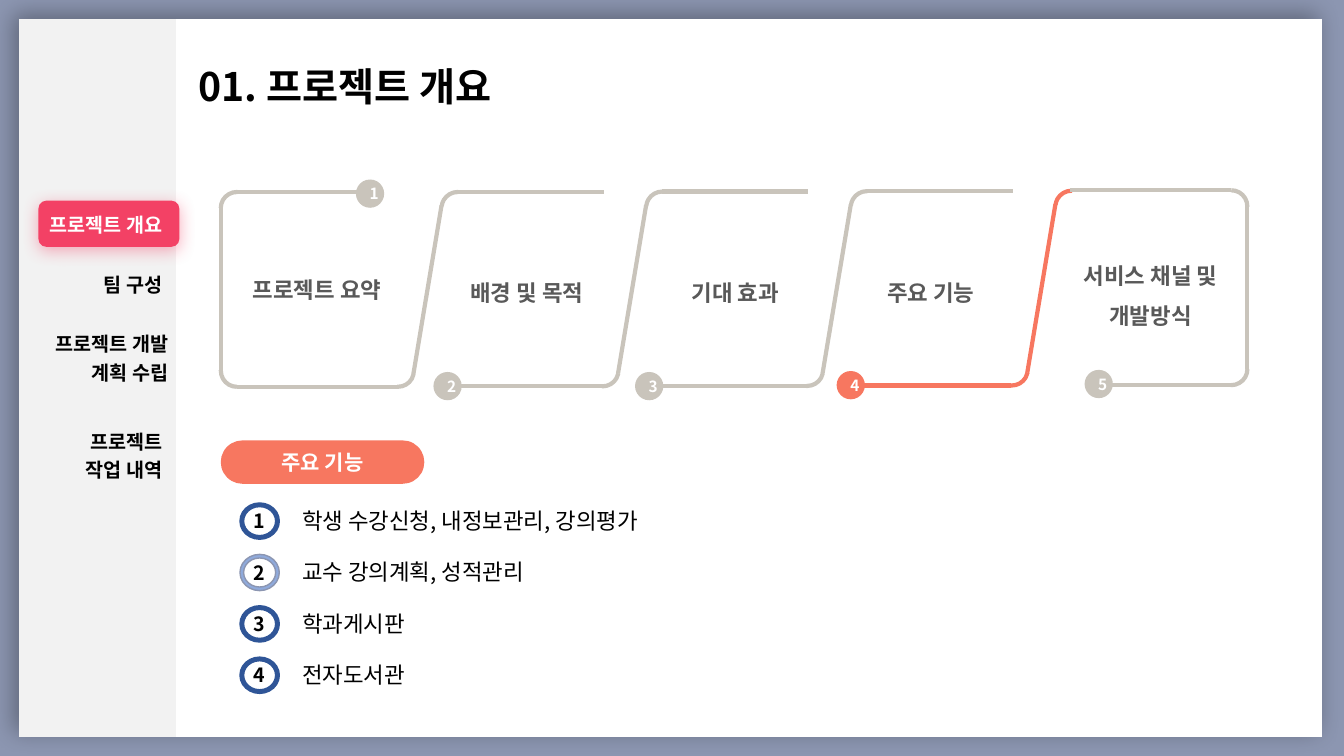
from lxml.etree import SubElement
from pptx import Presentation
from pptx.dml.color import RGBColor
from pptx.enum.shapes import MSO_CONNECTOR, MSO_SHAPE
from pptx.enum.text import MSO_ANCHOR, PP_ALIGN
from pptx.oxml.ns import qn
from pptx.util import Pt

FONT = "Noto Sans CJK KR"
GRAY, ORANGE, BLACK, WHITE = "C9C4BB", "F77760", "000000", "FFFFFF"
NAVY, PINK, LABEL_COLOR = "2F5597", "F34165", "595959"
NO_STYLE = "{2D5ABB26-0587-4C30-8999-92F81FD0307C}"

TITLE = "01. 프로젝트 개요"
MENU = [
    (1, "프로젝트 개요", WHITE, PP_ALIGN.CENTER, 7.2),
    (2, "팀 구성", BLACK, PP_ALIGN.RIGHT, 11.5),
    (3, "프로젝트 개발\n계획 수립", BLACK, PP_ALIGN.RIGHT, 7.2),
    (4, "프로젝트\n작업 내역", BLACK, PP_ALIGN.RIGHT, 11.5),
]
MENU_ROWS = [42.5, 42.5, 42.5, 69.8, 47.5] + [44.4] * 4
STEPS = [
    ("프로젝트 요약", 162, 184.3, 254.2, 128.2, GRAY),
    ("배경 및 목적", 311.8, 186.5, 309.6, 265.7, GRAY),
    ("기대 효과", 460.8, 186.5, 453.6, 265.7, GRAY),
    ("주요 기능", 600.5, 186.5, 597.6, 265, ORANGE),
    ("서비스 채널 및 개발방식", 757.4, 174.2, 774.7, 264.2, GRAY),
]
SECTION = "주요 기능"
FEATURES = [
    ("학생 수강신청, 내정보관리, 강의평가", NAVY, NAVY),
    ("교수 강의계획, 성적관리", "8FAADC", "8C96B1"),
    ("학과게시판", NAVY, NAVY),
    ("전자도서관", NAVY, NAVY),
]
CORNER = 23
FLOW_STEP = 146.16


def color(value):
    return RGBColor.from_string(value)


def write(frame, text, size, ink, bold=True, align=PP_ALIGN.LEFT, spacing=None):
    frame.word_wrap = True
    paragraph = frame.paragraphs[0]
    paragraph.alignment = align
    if spacing:
        paragraph.line_spacing = spacing
    for index, line in enumerate(text.split("\n")):
        if index:
            paragraph.add_line_break()
        run = paragraph.add_run()
        run.text = line
        run.font.size = Pt(size)
        run.font.bold = bold
        run.font.name = FONT
        run.font.color.rgb = color(ink)
        SubElement(run.font._element, qn("a:ea"), typeface=FONT)


def add_text(box, *args, **kwargs):
    textbox = slide.shapes.add_textbox(*map(Pt, box))
    write(textbox.text_frame, *args, **kwargs)


def add_shape(kind, box, fill=None, line=None, width=1, adjustments=()):
    shape = slide.shapes.add_shape(kind, *map(Pt, box))
    shape.shadow.inherit = False
    for index, value in enumerate(adjustments):
        shape.adjustments[index] = value
    if fill:
        shape.fill.solid()
        shape.fill.fore_color.rgb = color(fill)
    else:
        shape.fill.background()
    if line:
        shape.line.color.rgb = color(line)
        shape.line.width = Pt(width)
    else:
        shape.line.fill.background()
    return shape


def add_shadow(shape, ink, alpha, blur, distance, angle):
    effects = shape._element.spPr.find(qn("a:effectLst"))
    shadow = SubElement(effects, qn("a:outerShdw"), blurRad=str(Pt(blur)),
                        dist=str(Pt(distance)), dir=str(angle * 60000), rotWithShape="0")
    shade = SubElement(shadow, qn("a:srgbClr"), val=ink)
    SubElement(shade, qn("a:alpha"), val=str(alpha * 1000))


def add_line(x1, y1, x2, y2, ink=GRAY):
    line = slide.shapes.add_connector(MSO_CONNECTOR.STRAIGHT, *map(Pt, (x1, y1, x2, y2)))
    line.line.color.rgb = color(ink)
    line.line.width = Pt(3)
    SubElement(line._element.spPr, qn("a:effectLst"))


def add_corner(x, y, rotation, ink=GRAY, angles=(162, 1.17)):
    arc = add_shape(MSO_SHAPE.ARC, (x, y, CORNER, CORNER), None, ink, 3, angles)
    arc.rotation = rotation


def add_flow_start(top, bottom):
    add_corner(157.7, top, 270)
    add_line(169.2, top, 259.9, top)
    add_line(157.7, top + 11.5, 157.7, bottom - 11.5)
    add_corner(157.7, bottom - CORNER, 180)


def add_flow_link(index, top, bottom):
    ink = STEPS[index][-1]
    shift = index * FLOW_STEP
    add_line(169.2 + shift, bottom, 283.9 + shift, bottom, ink)
    add_corner(272.7 + shift, bottom - CORNER, 90, ink, (168.61, 1.46))
    add_line(295.3 + shift, bottom - 9.2, 315.4 + shift, top + 9.7, ink)
    add_corner(315.4 + shift, top, 270, ink, (166.35, 1.26))
    if ink == GRAY:
        add_line(326.9 + shift, top, 431.3 + shift, top)


def add_flow_end(top, bottom):
    add_line(764.6, top, 879.1, top)
    add_corner(868, top, 0)
    add_line(891, top + 11.5, 891, bottom - 11.5)
    add_corner(868, bottom - CORNER, 90)
    add_line(879.1, bottom, 788.4, bottom)


def add_menu():
    frame = slide.shapes.add_table(len(MENU_ROWS), 1, Pt(23.8), Pt(103.7),
                                   Pt(103.7), Pt(sum(MENU_ROWS)))
    table = frame.table
    table.first_row = table.horz_banding = False
    table._tbl.tblPr.find(qn("a:tableStyleId")).text = NO_STYLE
    for row, height in zip(table.rows, MENU_ROWS):
        row.height = Pt(height)
        row.cells[0].fill.background()
    for row, text, ink, align, margin in MENU:
        cell = table.cell(row, 0)
        cell.vertical_anchor = MSO_ANCHOR.TOP
        cell.margin_right = Pt(margin)
        write(cell.text_frame, text, 14, ink, align=align)


presentation = Presentation()
presentation.slide_width, presentation.slide_height = Pt(960), Pt(540)
slide = presentation.slides.add_slide(presentation.slide_layouts[5])
slide.background.fill.solid()
slide.background.fill.fore_color.rgb = color("8C96B1")

panel = add_shape(MSO_SHAPE.RECTANGLE, (13.7, 13.7, 931, 512.6))
panel.fill.gradient()
panel.fill.gradient_angle = 0
for stop, ink in zip(panel.fill.gradient_stops, ("F2F2F2", WHITE)):
    stop.position = 0.12
    stop.color.rgb = color(ink)
add_shadow(panel, BLACK, 31, 17, 5, 225)
active = add_shape(MSO_SHAPE.ROUNDED_RECTANGLE, (27.4, 143.3, 100.8, 33.1), PINK,
                   adjustments=[0.18])
add_shadow(active, PINK, 41, 12, 3, 90)

title = slide.shapes.title
title.left, title.top, title.width, title.height = map(Pt, (134.6, 41, 601.2, 41))
title.text_frame.vertical_anchor = MSO_ANCHOR.MIDDLE
write(title.text_frame, TITLE, 28, BLACK)
slide.shapes._spTree.append(title._element)

levels = [(137.1 - 0.3 * index, 276.3 - 0.3 * index) for index in range(len(STEPS))]
add_flow_start(*levels[0])
for index, level in enumerate(levels[:-1]):
    add_flow_link(index, *level)
add_flow_end(*levels[-1])

for number, (label, x, y, badge_x, badge_y, ink) in enumerate(STEPS, 1):
    add_text((x, y, 128.9, 36), label, 16, LABEL_COLOR, align=PP_ALIGN.CENTER, spacing=1.5)
    badge = add_shape(MSO_SHAPE.OVAL, (badge_x, badge_y, 20.2, 20.2), ink)
    badge_frame = badge.text_frame
    badge_frame.margin_left = Pt(5.8)
    badge_frame.margin_right = badge_frame.margin_top = badge_frame.margin_bottom = 0
    badge_frame.vertical_anchor = MSO_ANCHOR.MIDDLE
    write(badge_frame, str(number), 11, WHITE, align=PP_ALIGN.CENTER)

button = add_shape(MSO_SHAPE.ROUNDED_RECTANGLE, (157.7, 314.6, 145.4, 31), ORANGE,
                   adjustments=[0.5])
button.text_frame.vertical_anchor = MSO_ANCHOR.MIDDLE
write(button.text_frame, SECTION, 15, WHITE, align=PP_ALIGN.CENTER)

for index, (feature, fill, outline) in enumerate(FEATURES):
    y = 359.3 + 36.7 * index
    add_shape(MSO_SHAPE.DONUT, (171.4, y, 28.1, 25.9), fill, outline, 1, [0.1])
    add_text((174.2, y + 0.9, 18.7, 24.5), str(index + 1), 14, BLACK)
    add_text((208.8, y - 0.6, 658.8, 26.6), feature, 16, BLACK, bold=False)

add_menu()
presentation.save("out.pptx")
